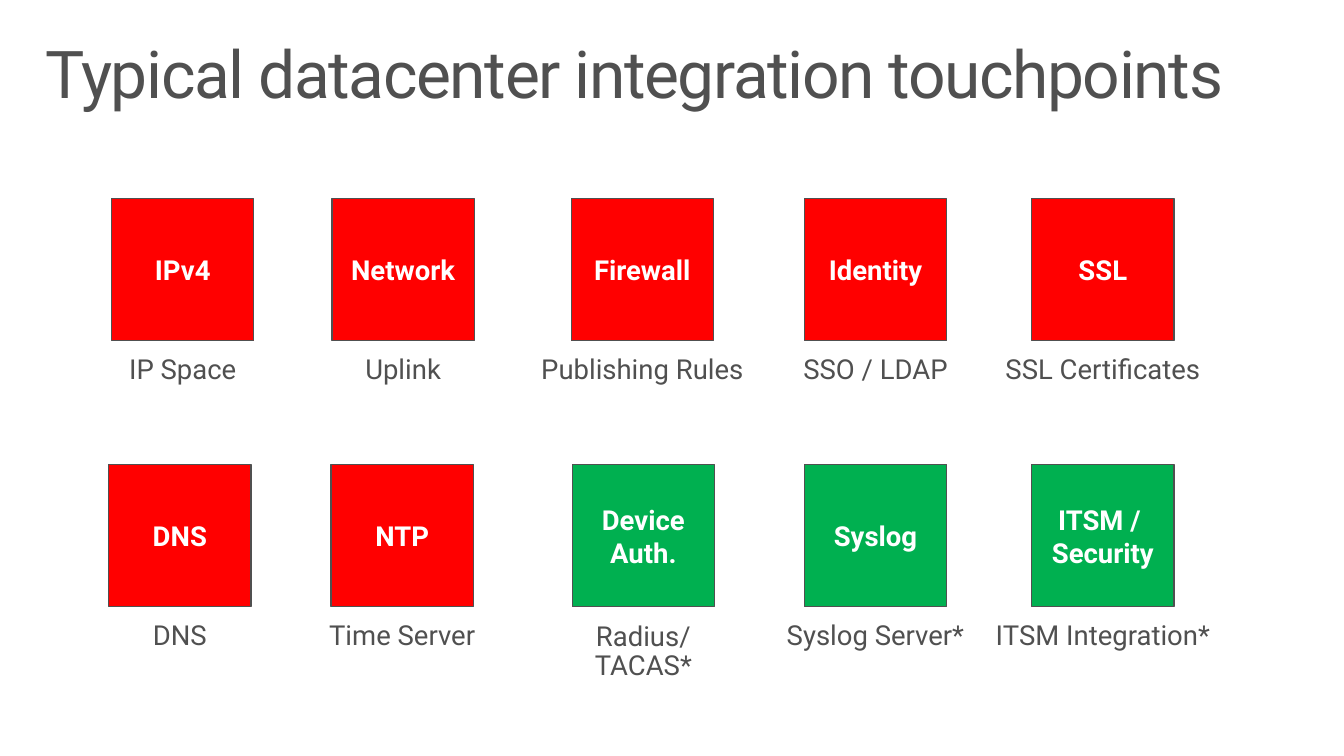
"""Build the slide of typical datacenter integration touchpoints."""
from dataclasses import dataclass

from pptx import Presentation
from pptx.dml.color import RGBColor
from pptx.enum.shapes import MSO_SHAPE as Shape
from pptx.enum.text import MSO_ANCHOR as Anchor, PP_ALIGN as Align
from pptx.text.text import TextFrame
from pptx.util import Inches, Pt

COLORS = {"text": "505050", "white": "FFFFFF", "required": "FF0000", "optional": "00B050"}
FONT = "Roboto"
TILE_SIZE = 1.44
CAPTION_HEIGHT = 0.6


@dataclass
class Touchpoint:
    """One labelled tile with the caption centred below it."""
    label: str
    caption: str
    left: float
    caption_width: float
    status: str = "required"


ROWS = {
    2.01: [
        Touchpoint("IPv4", "IP Space", 1.13, 1.6),
        Touchpoint("Network", "Uplink", 3.36, 1.53),
        Touchpoint("Firewall", "Publishing Rules", 5.78, 2.62),
        Touchpoint("Identity", "SSO / LDAP", 8.14, 1.95),
        Touchpoint("SSL", "SSL Certificates", 10.44, 2.42),
    ],
    4.7: [
        Touchpoint("DNS", "DNS", 1.1, 1.13),
        Touchpoint("NTP", "Time Server", 3.35, 2),
        Touchpoint("Device Auth.", "Radius/TACAS*", 5.79, 2.28, "optional"),
        Touchpoint("Syslog", "Syslog Server*", 8.14, 2.23, "optional"),
        Touchpoint("ITSM / \nSecurity", "ITSM Integration*", 10.44, 2.78, "optional"),
    ],
}


def color(name: str) -> RGBColor:
    """Return a palette colour."""
    return RGBColor.from_string(COLORS[name])


def write(frame: TextFrame, text: str, *, size: float = 20, fill: str = "text",
          bold: bool = False, align: Align = Align.CENTER, anchor: Anchor = Anchor.TOP,
          inset: tuple[float, float] = (0.2, 0.16), line_spacing: float = 0.9,
          space_after: float = 0, tracking: float = 0) -> None:
    """Fill a text frame and format all its paragraphs."""
    frame.text = text
    frame.word_wrap = True
    frame.vertical_anchor = anchor
    frame.margin_left = frame.margin_right = Inches(inset[0])
    frame.margin_top = frame.margin_bottom = Inches(inset[1])
    for paragraph in frame.paragraphs:
        paragraph.alignment = align
        paragraph.line_spacing = line_spacing
        paragraph.space_before = Pt(0)
        paragraph.space_after = Pt(space_after)
        for run in paragraph.runs:
            run.font.name = FONT
            run.font.size = Pt(size)
            run.font.bold = bold
            run.font.color.rgb = color(fill)
            if tracking:
                run.font._element.set("spc", str(round(tracking * 100)))


def draw_touchpoint(shapes, point: Touchpoint, top: float) -> None:
    """Draw a tile and its caption."""
    tile = shapes.add_shape(Shape.RECTANGLE, Inches(point.left), Inches(top),
                            Inches(TILE_SIZE), Inches(TILE_SIZE))
    tile.shadow.inherit = False
    tile.fill.solid()
    tile.fill.fore_color.rgb = color(point.status)
    tile.line.color.rgb = color("text")
    tile.line.width = Pt(0.85)
    write(tile.text_frame, point.label, fill="white", bold=True,
          anchor=Anchor.MIDDLE, inset=(0, 0.05), line_spacing=1.0)

    caption_left = point.left + (TILE_SIZE - point.caption_width) / 2
    caption = shapes.add_textbox(Inches(caption_left), Inches(top + TILE_SIZE),
                                 Inches(point.caption_width), Inches(CAPTION_HEIGHT))
    write(caption.text_frame, point.caption, space_after=6)


def build() -> None:
    """Create and save the presentation."""
    deck = Presentation()
    deck.slide_width, deck.slide_height = Inches(13.6), Inches(7.65)
    slide = deck.slides.add_slide(deck.slide_layouts[5])
    title = slide.shapes.title
    title.left, title.top = Inches(0.3), Inches(0.32)
    title.width, title.height = Inches(13), Inches(1)
    write(title.text_frame, "Typical datacenter integration touchpoints", size=48,
          align=Align.LEFT, inset=(0.16, 0.1), tracking=-1)
    for top, points in ROWS.items():
        for point in points:
            draw_touchpoint(slide.shapes, point, top)
    deck.save("out.pptx")


build()
